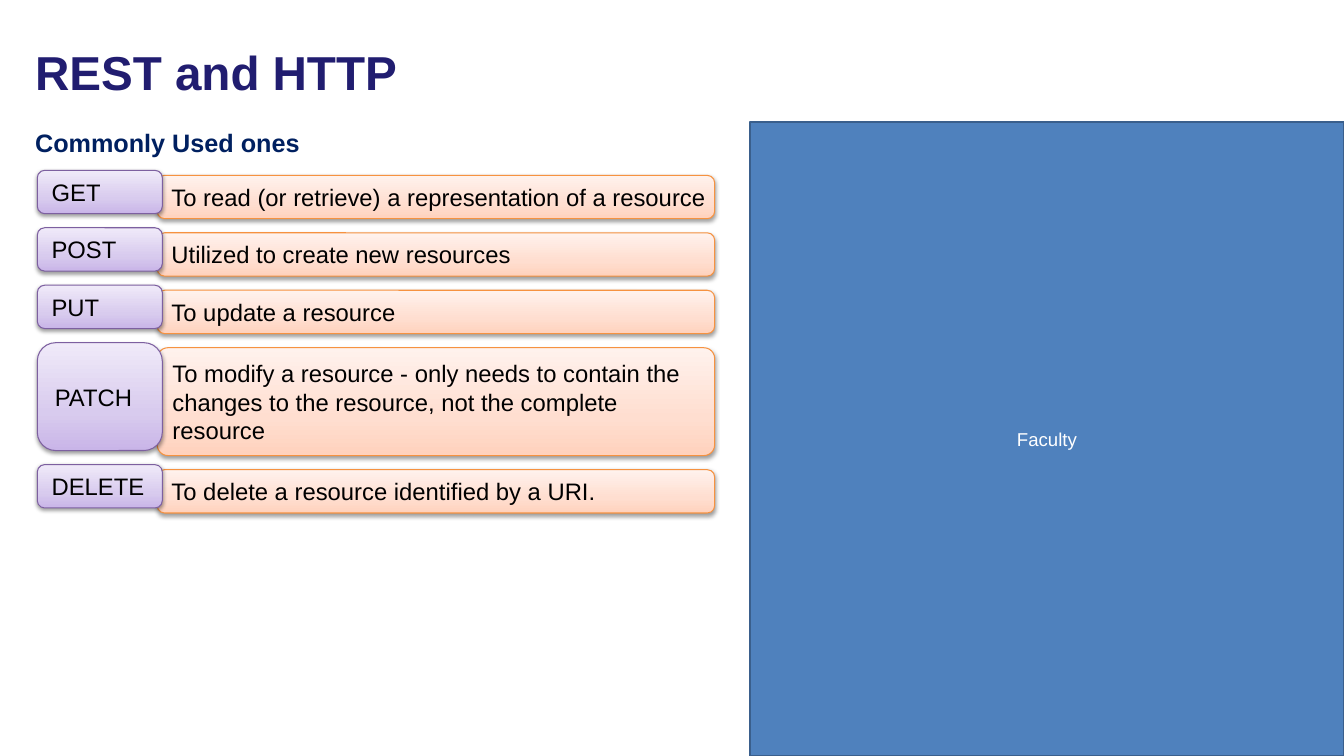
from copy import deepcopy

from pptx import Presentation
from pptx.dml.color import RGBColor
from pptx.enum.shapes import MSO_SHAPE as Shape
from pptx.enum.text import MSO_ANCHOR as Anchor, PP_ALIGN as Align
from pptx.oxml import parse_xml
from pptx.oxml.ns import nsdecls, qn
from pptx.util import Inches, Pt

# Slide grid: 40 columns by 30 rows
WIDE, HIGH = Inches(13.33), Inches(7.5)
COL, ROW = WIDE / 40, HIGH / 30

FONT = "Arial"
WHITE = RGBColor(0xFF, 0xFF, 0xFF)
BLACK = RGBColor(0, 0, 0)
INDIGO = RGBColor(0x21, 0x1D, 0x70)
NAVY = RGBColor(0x00, 0x20, 0x60)
BLUE = RGBColor(0x4F, 0x81, 0xBD)
STEEL = RGBColor(0x3A, 0x5F, 0x8C)
ORANGE = RGBColor(0xF6, 0x92, 0x40)
PURPLE = RGBColor(0x7D, 0x60, 0xA0)
PEACH = (RGBColor(0xFF, 0xD2, 0xBD), RGBColor(0xFF, 0xDE, 0xD0),
         RGBColor(0xFF, 0xF2, 0xED))
LILAC = (RGBColor(0xC9, 0xB5, 0xE8), RGBColor(0xD8, 0xCB, 0xEE),
         RGBColor(0xF0, 0xEA, 0xF9))
STOPS = (0, 0.35, 1)

# Method list, in columns and rows
TOP, GAP, DROP = 6.76, 0.56, 0.2
LOW, TALL = 1.72, 4.28
VERB_X, VERB_W = 1.11, 3.72
USE_X, USE_W = 4.68, 16.59

METHODS = [
    ("GET", "To read (or retrieve) a representation of a resource", LOW),
    ("POST", "Utilized to create new resources", LOW),
    ("PUT", "To update a resource", LOW),
    ("PATCH", "To modify a resource - only needs to contain the changes "
     "to the resource, not the complete resource", TALL),
    ("DELETE", "To delete a resource identified by a URI.", LOW),
]


def place(x, y, w, h):
    return round(x * COL), round(y * ROW), round(w * COL), round(h * ROW)


def write(shape, text, size, color, bold=False, align=Align.LEFT,
          anchor=Anchor.TOP):
    frame = shape.text_frame
    frame.word_wrap = True
    frame.vertical_anchor = anchor
    para = frame.paragraphs[0]
    para.alignment = align
    run = para.add_run()
    run.text = text
    font = run.font
    font.name, font.size, font.bold = FONT, Pt(size), bold
    font.color.rgb = color
    return frame


def add_text(slide, area, text, size, color, anchor=Anchor.TOP):
    box = slide.shapes.add_textbox(*place(*area))
    write(box, text, size, color, bold=True, anchor=anchor)


def add_panel(slide, area, text):
    panel = slide.shapes.add_shape(Shape.RECTANGLE, *place(*area))
    panel.shadow.inherit = False
    panel.fill.solid()
    panel.fill.fore_color.rgb = BLUE
    panel.line.color.rgb = STEEL
    panel.line.width = Pt(2)
    write(panel, text, 13.3, WHITE, align=Align.CENTER, anchor=Anchor.MIDDLE)


def shade(shape, colors):
    """Fill upwards with three colours."""
    shape.fill.gradient()
    shape.fill.gradient_angle = 90
    stops = shape._element.spPr.find(qn("a:gradFill")).find(qn("a:gsLst"))
    stops.append(deepcopy(stops[-1]))
    for stop, color, pos in zip(shape.fill.gradient_stops, colors, STOPS):
        stop.color.rgb = color
        stop.position = pos


def cast(shape):
    """Drop a soft shadow below the shape."""
    shape.shadow.inherit = False
    effects = shape._element.spPr.find(qn("a:effectLst"))
    effects.append(parse_xml(
        f'<a:outerShdw {nsdecls("a")} blurRad="{Pt(3.1)}" dist="{Pt(1.6)}" '
        'dir="5400000" rotWithShape="0"><a:srgbClr val="000000">'
        '<a:alpha val="38000"/></a:srgbClr></a:outerShdw>'))


def add_card(slide, area, text, colors, edge, curve, anchor):
    card = slide.shapes.add_shape(Shape.ROUNDED_RECTANGLE, *place(*area))
    card.adjustments[0] = curve
    shade(card, colors)
    card.line.color.rgb = edge
    card.line.width = Pt(0.75)
    cast(card)
    frame = write(card, text, 17, BLACK, anchor=anchor)
    frame.margin_left, frame.margin_right = Inches(0.12), Inches(0.04)


def add_list(slide):
    # Uses go first so that the verbs overlap them
    y, verbs = TOP, []
    for verb, use, h in METHODS:
        tall = h == TALL
        anchor = Anchor.MIDDLE if tall else Anchor.TOP
        add_card(slide, (USE_X, y + DROP, USE_W, h), use, PEACH, ORANGE,
                 0.1 if tall else 0.17, anchor)
        verbs.append(((VERB_X, y, VERB_W, h), verb, anchor))
        y += h + GAP
    for area, verb, anchor in verbs:
        add_card(slide, area, verb, LILAC, PURPLE, 0.17, anchor)


def main():
    deck = Presentation()
    deck.slide_width, deck.slide_height = WIDE, HIGH
    slide = deck.slides.add_slide(deck.slide_layouts[6])
    # Side panel
    add_panel(slide, (22.32, 4.84, 17.68, 25.16), "Faculty")
    # Headings
    add_text(slide, (0.75, 1, 35.43, 3.64), "REST and HTTP", 34, INDIGO,
             Anchor.MIDDLE)
    add_text(slide, (0.75, 4.84, 19.26, 1.6), "Commonly Used ones", 18, NAVY)
    # HTTP methods
    add_list(slide)
    deck.save("out.pptx")


if __name__ == "__main__":
    main()
